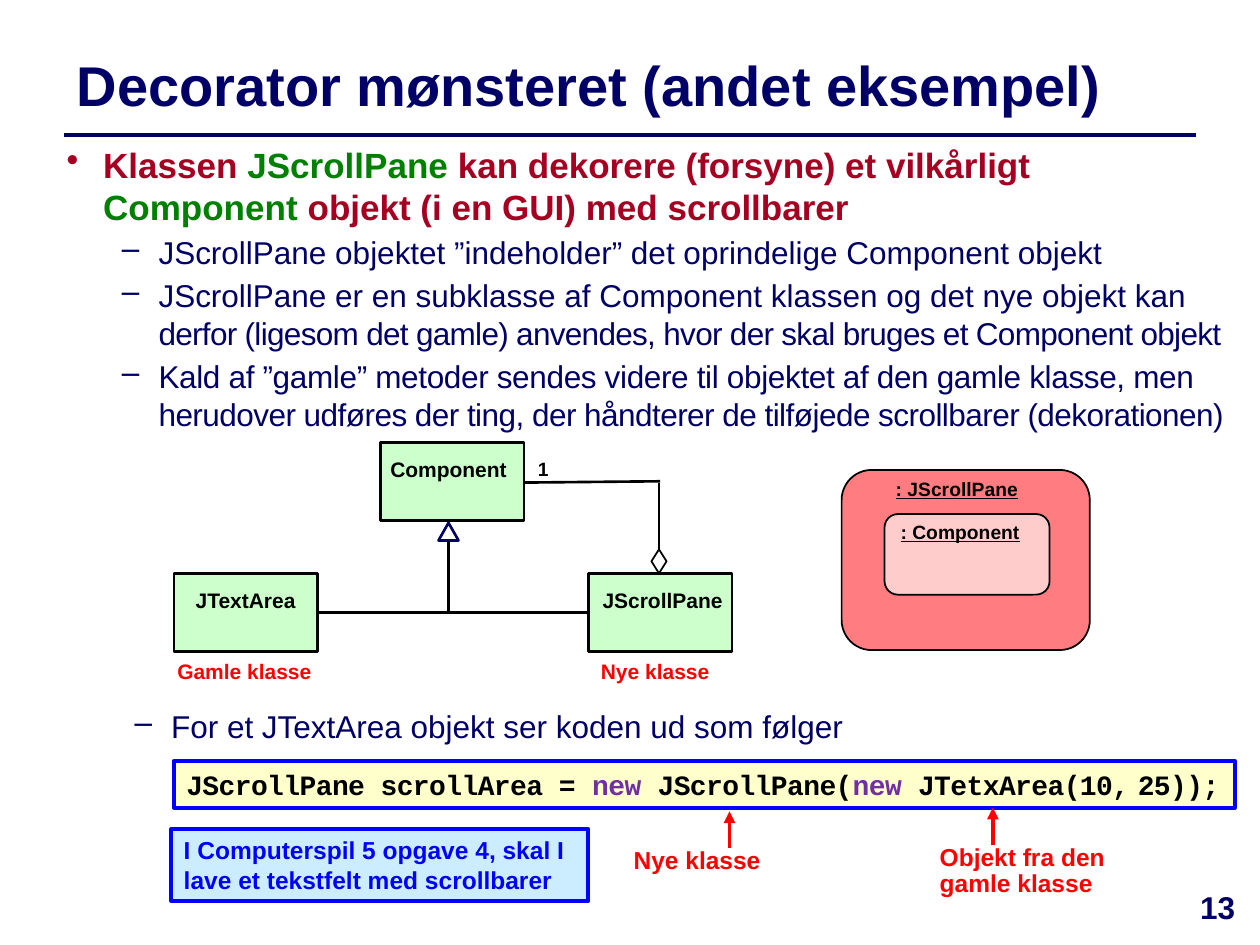
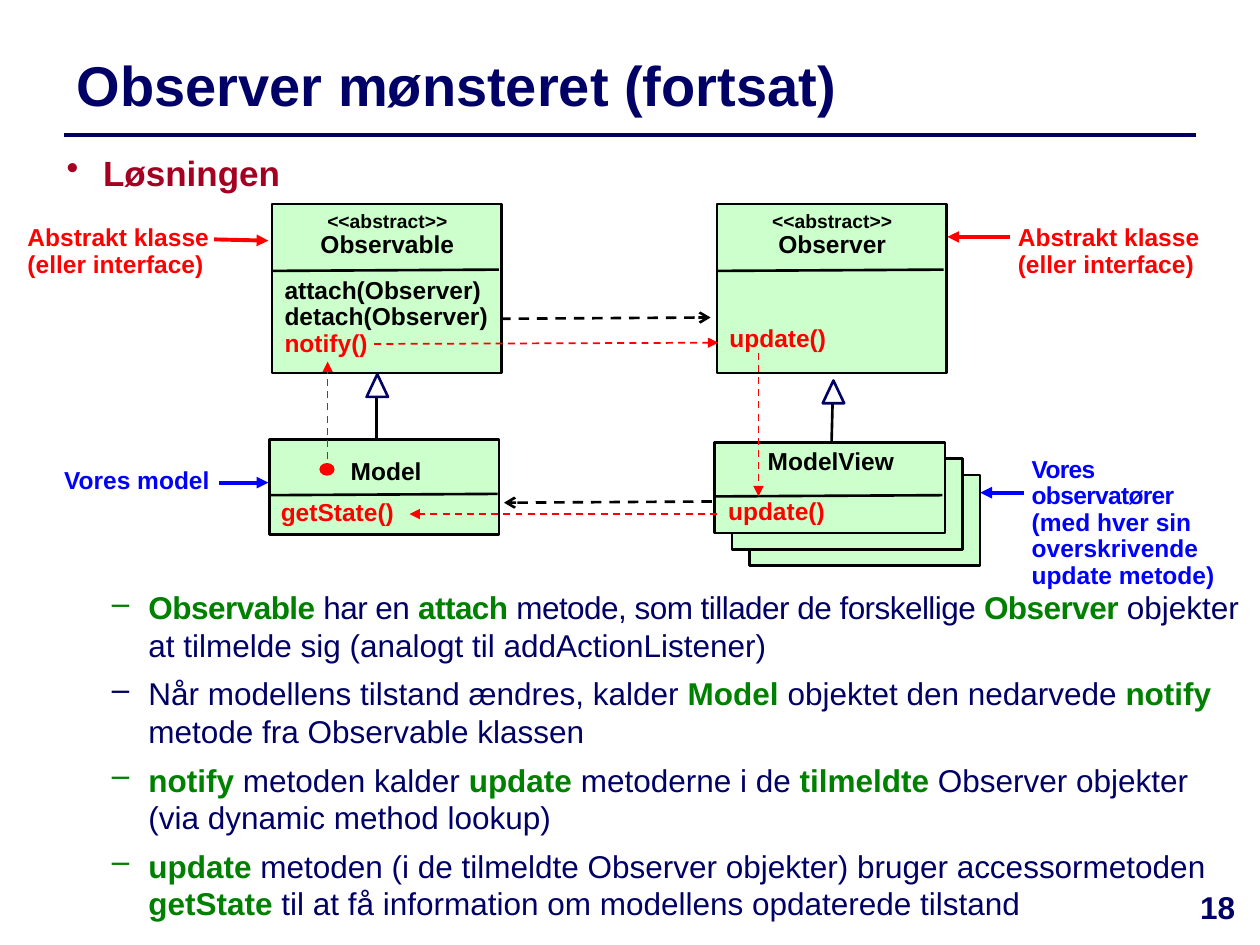
from dataclasses import dataclass

from lxml import etree
from pptx import Presentation
from pptx import util as u
from pptx.dml.color import RGBColor
from pptx.enum import dml, shapes, text
from pptx.oxml.ns import qn

PX = u.Inches(1) // 100


@dataclass(frozen=True)
class Theme:
    font: str = "Arial"
    code_font: str = "Courier New"
    navy: str = "000066"
    black: str = "000000"
    white: str = "FFFFFF"
    red: str = "FF0000"
    blue: str = "0000FF"
    crimson: str = "A50021"
    green: str = "008000"
    keyword: str = "7030A0"
    class_fill: str = "CCFFCC"
    code_fill: str = "FFFFCC"
    task_fill: str = "CCECFF"
    outer_fill: str = "FF7C80"
    inner_fill: str = "FFCCCC"
    title: int = 32
    head: int = 20
    body: int = 18
    code: int = 16
    note: int = 14
    label: int = 12
    small: int = 11


T = Theme()
BODY = {"size": T.body, "color": T.navy}
TERM = {"color": T.green, "bold": True}
HEAD = {"size": T.head, "color": T.crimson, "bold": True}
NOTE = {"size": T.note, "color": T.red, "bold": True}
OURS = {**NOTE, "color": T.blue}
LABEL = {"size": T.label, "color": T.black, "bold": True}
NAME = {**LABEL, "size": T.note}
SMALL = {**LABEL, "size": T.small}
OBJECT = {**SMALL, "underline": True}
CODE = {"size": T.code, "color": T.black, "bold": True,
        "name": T.code_font, "spacing": -0.3}
LEFT, CENTER = text.PP_ALIGN.LEFT, text.PP_ALIGN.CENTER
KIND = shapes.MSO_SHAPE


def bullet(runs, style, char="–", margin=73, before=3):
    return {"runs": runs, "style": style, "char": char,
            "margin": margin, "before": before}


def point(runs):
    return bullet(runs, HEAD, "•", 29, 0)


def px(values):
    return [value * PX for value in values]


class Deck:
    def __init__(self):
        self.prs = Presentation()
        self.prs.slide_width, self.prs.slide_height = px((1000, 750))
        self.slide = None

    def start(self, title, number):
        """Open a slide with the shared title, rule and page number."""
        self.slide = self.prs.slides.add_slide(self.prs.slide_layouts[6])
        self.line((51, 107), (949, 107), T.navy, 2)
        box = self.text((51, 29, 882, 75), [title],
                        {"size": T.title, "color": T.navy, "bold": True}, spacing=1)
        box.text_frame.vertical_anchor = text.MSO_ANCHOR.MIDDLE
        self.text((933, 700, 67, 50), [str(number)], {**BODY, "bold": True}, CENTER, 1)

    def run(self, paragraph, words, style):
        run = paragraph.add_run()
        run.text = words
        values = {"name": T.font, "bold": False, **style}
        values["size"] = u.Pt(values["size"])
        run.font.color.rgb = RGBColor.from_string(values.pop("color"))
        tracking = values.pop("spacing", 0)
        if tracking:
            run._r.get_or_add_rPr().set("spc", str(round(tracking * 100)))
        for key, value in values.items():
            setattr(run.font, key, value)

    def fill_frame(self, frame, paragraphs, style, align=LEFT, spacing=0.9):
        """Write paragraphs: a string, a list of runs or a bullet dict."""
        frame.word_wrap = True
        frame.vertical_anchor = text.MSO_ANCHOR.TOP
        for i, item in enumerate(paragraphs):
            paragraph = frame.paragraphs[0] if i == 0 else frame.add_paragraph()
            paragraph.alignment, paragraph.line_spacing = align, spacing
            base = style
            if isinstance(item, dict):
                props = paragraph._p.get_or_add_pPr()
                props.set("marL", str(item["margin"] * PX))
                props.set("indent", str(-29 * PX))
                etree.SubElement(props, qn("a:buChar")).set("char", item["char"])
                paragraph.space_before = u.Pt(item["before"] if i else 0)
                base, item = item["style"], item["runs"]
            for part in [item] if isinstance(item, str) else item:
                words, change = (part, {}) if isinstance(part, str) else part
                for k, row in enumerate(words.split("\n")):
                    if k:
                        paragraph.add_line_break()
                    if row:
                        self.run(paragraph, row, {**base, **change})

    def text(self, place, paragraphs, style=BODY, align=LEFT, spacing=0.9):
        box = self.slide.shapes.add_textbox(*px(place))
        self.fill_frame(box.text_frame, paragraphs, style, align, spacing)
        return box

    def shape(self, place, fill=T.class_fill, line=T.black, width=1.5,
              kind=KIND.RECTANGLE):
        shape = self.slide.shapes.add_shape(kind, *px(place))
        shape.shadow.inherit = False
        shape.fill.solid()
        shape.fill.fore_color.rgb = RGBColor.from_string(fill)
        shape.line.color.rgb = RGBColor.from_string(line)
        shape.line.width = u.Pt(width)
        return shape

    def text_box(self, place, fill, runs, style):
        """Framed box with text."""
        box = self.shape(place, fill, T.blue, 2.25)
        self.fill_frame(box.text_frame, [runs], style, spacing=1)

    def line(self, start, end, color=T.black, width=1.5, head=None, dashed=False):
        line = self.slide.shapes.add_connector(
            shapes.MSO_CONNECTOR.STRAIGHT, *px(start + end))
        line.line.color.rgb = RGBColor.from_string(color)
        line.line.width = u.Pt(width)
        if dashed:
            line.line.dash_style = dml.MSO_LINE.DASH
        if head:
            outline = line.line._get_or_add_ln()
            etree.SubElement(outline, qn("a:tailEnd")).set("type", head)
        etree.SubElement(line._element.spPr, qn("a:effectLst"))

    def pointer(self, start, end, color=T.red):
        self.line(start, end, color, 2.25, "triangle")

    def call(self, start, end):
        """Dashed red arrow for a method call."""
        self.line(start, end, T.red, 1, "triangle", True)

    def inheritance(self, place, start, end):
        self.line(start, end)
        self.shape(place, T.white, T.navy, kind=KIND.ISOSCELES_TRIANGLE)


def decorator_slide(deck):
    deck.start("Decorator mønsteret (andet eksempel)", 13)
    deck.text((43, 109, 945, 240), [
        point(["Klassen ", ("JScrollPane", TERM),
               " kan dekorere (forsyne) et vilkårligt ", ("Component", TERM),
               " objekt (i en GUI) med scrollbarer"]),
        bullet("JScrollPane objektet ”indeholder” det oprindelige Component objekt", BODY),
        bullet(["JScrollPane er en subklasse af Component klassen og det nye objekt kan ",
                ("derfor (ligesom det gamle) anvendes, hvor der skal bruges et "
                 "Component objekt", {"spacing": -0.4})], BODY),
        bullet([("Kald af ”gamle” metoder sendes videre til objektet af den gamle "
                 "klasse, men ", {"spacing": -0.2}),
                ("herudover udføres der ting, der håndterer de tilføjede scrollbarer "
                 "(dekorationen)", {"spacing": -0.3})], BODY),
    ], spacing=1)

    for name, left, top, label_left, label_width in (
            ("Component", 302, 351, 299, 114),
            ("JTextArea", 138, 455, 138, 114),
            ("JScrollPane", 467, 455, 463, 126)):
        deck.shape((left, top, 114, 62))
        deck.text((label_left, top + 9, label_width, 27), [name], LABEL, CENTER)
    deck.line((467, 486), (252, 486))
    deck.inheritance((348, 415, 16, 14), (356, 426), (356, 485))
    deck.line((416, 383), (524, 382))
    deck.line((523, 383), (523, 440))
    deck.shape((517, 436, 12, 19), T.white, width=1, kind=KIND.DIAMOND)
    deck.text((417, 360, 22, 24), ["1"], SMALL, CENTER)
    for caption, left in (("Gamle klasse", 110), ("Nye klasse", 436)):
        deck.text((left, 520, 168, 28), [caption], {**NOTE, "size": T.label}, CENTER)

    deck.text((53, 556, 652, 44),
              [bullet("For et JTextArea objekt ser koden ud som følger", BODY)], spacing=1)
    new = ("new ", {"color": T.keyword})
    deck.text_box((138, 604, 842, 37), T.code_fill,
                  ["JScrollPane scrollArea = ", new, "JScrollPane(", new,
                   "JTetxArea(10,", (" ", {"size": 8}), "25));"], CODE)
    deck.text((493, 668, 149, 31), ["Nye klasse"], NOTE)
    deck.pointer((579, 673), (579, 644))
    deck.text((736, 666, 152, 53), ["Objekt fra den gamle klasse"], NOTE)
    deck.pointer((788, 671), (788, 641))

    for place, fill, label, label_place in (
            ((668, 373, 197, 143), T.outer_fill, ": JScrollPane", (683, 376, 153, 27)),
            ((702, 408, 131, 64), T.inner_fill, ": Component", (702, 410, 120, 27))):
        deck.shape(place, fill, width=1, kind=KIND.ROUNDED_RECTANGLE)
        deck.text(label_place, [label], OBJECT, CENTER)
    deck.text_box((136, 658, 331, 57), T.task_fill,
                  "I Computerspil 5 opgave 4, skal I lave et tekstfelt med scrollbarer", OURS)


def observer_slide(deck):
    deck.start("Observer mønsteret (fortsat)", 18)
    deck.text((43, 115, 907, 110), [point("Løsningen")], spacing=1)
    tight = {"spacing": -0.3}
    tight_term = {**TERM, **tight}
    deck.text((35, 462, 965, 283), [bullet(runs, BODY, before=6) for runs in (
        [("Observable ", tight_term), ("har en ", tight), ("attach ", tight_term),
         ("metode, som tillader de forskellige ", tight), ("Observer ", tight_term),
         "objekter at tilmelde sig (analogt til addActionListener)"],
        ["Når modellens tilstand ændres, kalder ", ("Model ", TERM),
         "objektet den nedarvede ", ("notify ", TERM), "metode fra Observable klassen"],
        [("notify", TERM), " metoden kalder ", ("update", TERM), " metoderne i de ",
         ("tilmeldte ", TERM), "Observer objekter\n(via dynamic method lookup)"],
        [("update", TERM),
         " metoden (i de tilmeldte Observer objekter) bruger accessormetoden ",
         ("getState", TERM), " til at få information om modellens opdaterede tilstand"],
    )], spacing=1)

    deck.inheritance((291, 297, 17, 18), (299, 307), (299, 359))
    for name, left in (("Observable", 216), ("Observer", 569)):
        deck.shape((left, 162, 182, 134))
        deck.text((left + 15, 163, 153, 49),
                  [[("<<abstract>>", SMALL)], name], NAME, CENTER)
        deck.line((left + 180, 214), (left, 215))
    deck.text((216, 216, 182, 74),
              ["attach(Observer)", "detach(Observer)", [("notify()", NOTE)]], NAME)

    deck.shape((214, 349, 182, 75))
    for layer in (2, 1, 0):
        deck.shape((567 + 14 * layer, 351 + 13 * layer, 183, 72))
    for name, left, top, rule in (("Model", 230, 360, 392), ("ModelView", 583, 352, 393)):
        deck.text((left, top, 153, 31), [name], NAME, CENTER)
        deck.line((left + 165, rule), (left - 15, rule + 1))
    for method, left, top in (("update()", 569, 254), ("update()", 568, 391),
                              ("getState()", 213, 392)):
        deck.text((left, top, 182, 31), [method], NOTE)
    for start, end in (((397, 253), (564, 252)), ((565, 398), (400, 399))):
        deck.line(start, end, head="arrow", dashed=True)
    deck.inheritance((653, 302, 17, 18), (661, 312), (660, 350))

    deck.pointer((813, 391), (778, 391), T.blue)
    deck.text((809, 358, 187, 95),
              [[("Vores observatører\n", {"spacing": -0.4}),
                "(med hver sin overskrivende update metode)"]], OURS)
    for left, start, end in ((798, (802, 188), (752, 188)), (12, (170, 190), (213, 191))):
        deck.text((left, 174, 184, 53), ["Abstrakt klasse (eller interface)"], NOTE)
        deck.pointer(start, end)
    deck.pointer((174, 383), (213, 383), T.blue)
    deck.text((41, 367, 138, 31), ["Vores model"], OURS)

    deck.call((569, 408), (325, 408))
    deck.call((297, 273), (570, 272))
    deck.call((260, 374), (260, 287))
    deck.shape((254, 368, 11, 9), T.red, T.red, 0.75, KIND.OVAL)
    deck.call((602, 280), (602, 394))


def main():
    deck = Deck()
    decorator_slide(deck)
    observer_slide(deck)
    deck.prs.save("out.pptx")


if __name__ == "__main__":
    main()
